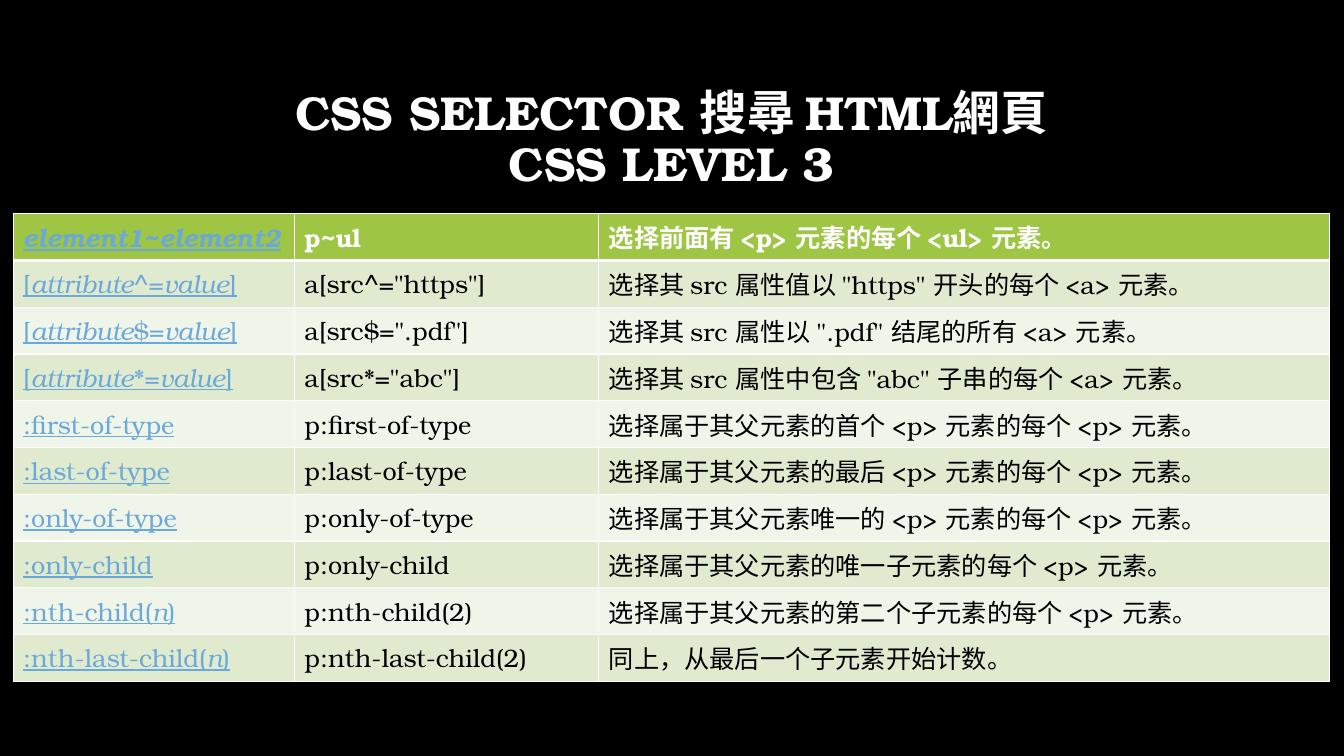
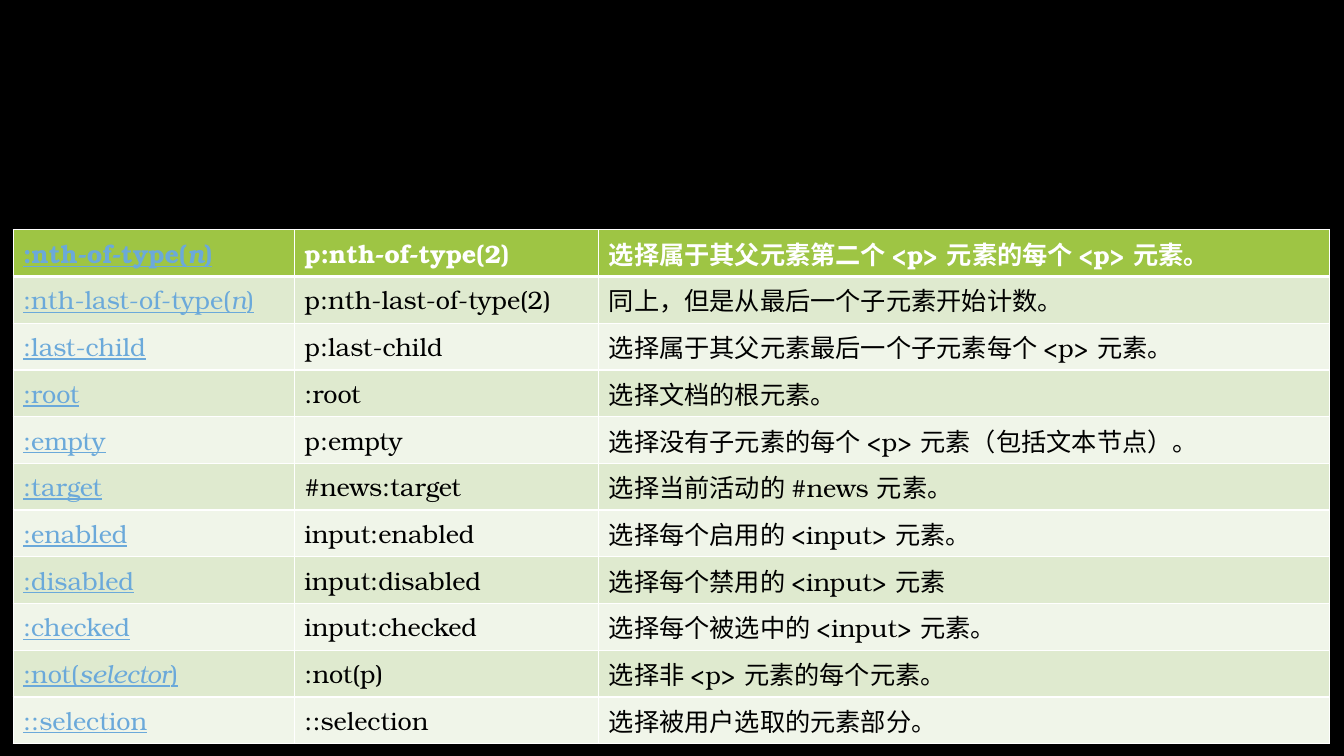
from pptx import Presentation
from pptx.dml.color import RGBColor
from pptx.enum import lang, text
from pptx.oxml import parse_xml
from pptx.oxml.ns import nsdecls
from pptx.util import Inches, Pt

BLACK = RGBColor(0x00, 0x00, 0x00)
WHITE = RGBColor(0xFF, 0xFF, 0xFF)
LINK_BLUE = RGBColor(0x6B, 0xA9, 0xDA)
HEADER_GREEN = RGBColor(0x9E, 0xC5, 0x44)
BANDS = [RGBColor(0xF0, 0xF5, 0xE9), RGBColor(0xDF, 0xEA, 0xCF)]
FONT = "TeX Gyre Bonum"
COLUMN_WIDTHS = [2.79, 3.02, 7.25]
TABLE_LEFT = 0.13

# In the first column, text between underscores is italic.
TABLES = [
    {"title": "CSS SELECTOR 搜尋 HTML網頁\vCSS LEVEL 3", "top": 2.12, "height": 4.64, "rows": [
        ("_element1_~_element2_", "p~ul", "选择前面有 <p> 元素的每个 <ul> 元素。"),
        ("[_attribute_^=_value_]", 'a[src^="https"]', '选择其 src 属性值以 "https" 开头的每个 <a> 元素。'),
        ("[_attribute_$=_value_]", 'a[src$=".pdf"]', '选择其 src 属性以 ".pdf" 结尾的所有 <a> 元素。'),
        ("[_attribute_*=_value_]", 'a[src*="abc"]', '选择其 src 属性中包含 "abc" 子串的每个 <a> 元素。'),
        (":first-of-type", "p:first-of-type", "选择属于其父元素的首个 <p> 元素的每个 <p> 元素。"),
        (":last-of-type", "p:last-of-type", "选择属于其父元素的最后 <p> 元素的每个 <p> 元素。"),
        (":only-of-type", "p:only-of-type", "选择属于其父元素唯一的 <p> 元素的每个 <p> 元素。"),
        (":only-child", "p:only-child", "选择属于其父元素的唯一子元素的每个 <p> 元素。"),
        (":nth-child(_n_)", "p:nth-child(2)", "选择属于其父元素的第二个子元素的每个 <p> 元素。"),
        (":nth-last-child(_n_)", "p:nth-last-child(2)", "同上，从最后一个子元素开始计数。"),
    ]},
    {"title": None, "top": 2.28, "height": 5.1, "rows": [
        (":nth-of-type(_n_)", "p:nth-of-type(2)", "选择属于其父元素第二个 <p> 元素的每个 <p> 元素。"),
        (":nth-last-of-type(_n_)", "p:nth-last-of-type(2)", "同上，但是从最后一个子元素开始计数。"),
        (":last-child", "p:last-child", "选择属于其父元素最后一个子元素每个 <p> 元素。"),
        (":root", ":root", "选择文档的根元素。"),
        (":empty", "p:empty", "选择没有子元素的每个 <p> 元素（包括文本节点）。"),
        (":target", "#news:target", "选择当前活动的 #news 元素。"),
        (":enabled", "input:enabled", "选择每个启用的 <input> 元素。"),
        (":disabled", "input:disabled", "选择每个禁用的 <input> 元素"),
        (":checked", "input:checked", "选择每个被选中的 <input> 元素。"),
        (":not(_selector_)", ":not(p)", "选择非 <p> 元素的每个元素。"),
        ("::selection", "::selection", "选择被用户选取的元素部分。"),
    ]},
]


def write(para, words, color, **formats):
    """Add the words as runs, with every part between underscores in italics."""
    for index, part in enumerate(words.split("_")):
        if not part:
            continue
        # A vertical tab becomes a line break only through paragraph text.
        if "\v" in part:
            para.text = part
            spans = para.runs
        else:
            spans = [para.add_run()]
            spans[0].text = part
        for span in spans:
            span.font.color.rgb = color
            for name, value in {"name": FONT, "italic": index % 2 == 1, **formats}.items():
                setattr(span.font, name, value)


def set_borders(cell, **widths):
    """Draw white cell borders; widths are points by side: L, R, T, B."""
    properties = cell._tc.get_or_add_tcPr()
    for index, (side, width) in enumerate(widths.items()):
        properties.insert(index, parse_xml(
            f'<a:ln{side} {nsdecls("a")} w="{Pt(width)}"><a:solidFill>'
            f'<a:srgbClr val="{WHITE}"/></a:solidFill></a:ln{side}>'))


deck = Presentation()
deck.slide_width, deck.slide_height = Inches(13.33), Inches(7.5)
background = deck.slide_master.background.fill
background.solid()
background.fore_color.rgb = BLACK

for content in TABLES:
    page = deck.slides.add_slide(deck.slide_layouts[6])

    if content["title"]:
        box = page.shapes.add_textbox(Inches(1), Inches(0.67), Inches(11.32), Inches(1.45))
        box.text_frame.word_wrap = True
        box.text_frame.vertical_anchor = text.MSO_ANCHOR.MIDDLE
        para = box.text_frame.paragraphs[0]
        para.alignment = text.PP_ALIGN.CENTER
        para.line_spacing = 0.9
        write(para, content["title"], WHITE, size=Pt(34), bold=True)

    rows = content["rows"]
    table = page.shapes.add_table(
        len(rows), len(COLUMN_WIDTHS), Inches(TABLE_LEFT), Inches(content["top"]),
        Inches(sum(COLUMN_WIDTHS)), Inches(content["height"])).table
    for column, width in zip(table.columns, COLUMN_WIDTHS):
        column.width = Inches(width)

    for row_index, row in enumerate(rows):
        header = row_index == 0
        for column_index, words in enumerate(row):
            cell = table.cell(row_index, column_index)
            cell.vertical_anchor = text.MSO_ANCHOR.MIDDLE
            cell.fill.solid()
            cell.fill.fore_color.rgb = HEADER_GREEN if header else BANDS[row_index % 2]
            set_borders(cell, L=1, R=1, T=3 if row_index == 1 else 1, B=3 if header else 1)
            link = column_index == 0
            color = LINK_BLUE if link else WHITE if header else BLACK
            write(cell.text_frame.paragraphs[0], words, color, size=Pt(18), bold=header,
                  underline=link, language_id=lang.MSO_LANGUAGE_ID.SIMPLIFIED_CHINESE)

deck.save("out.pptx")
